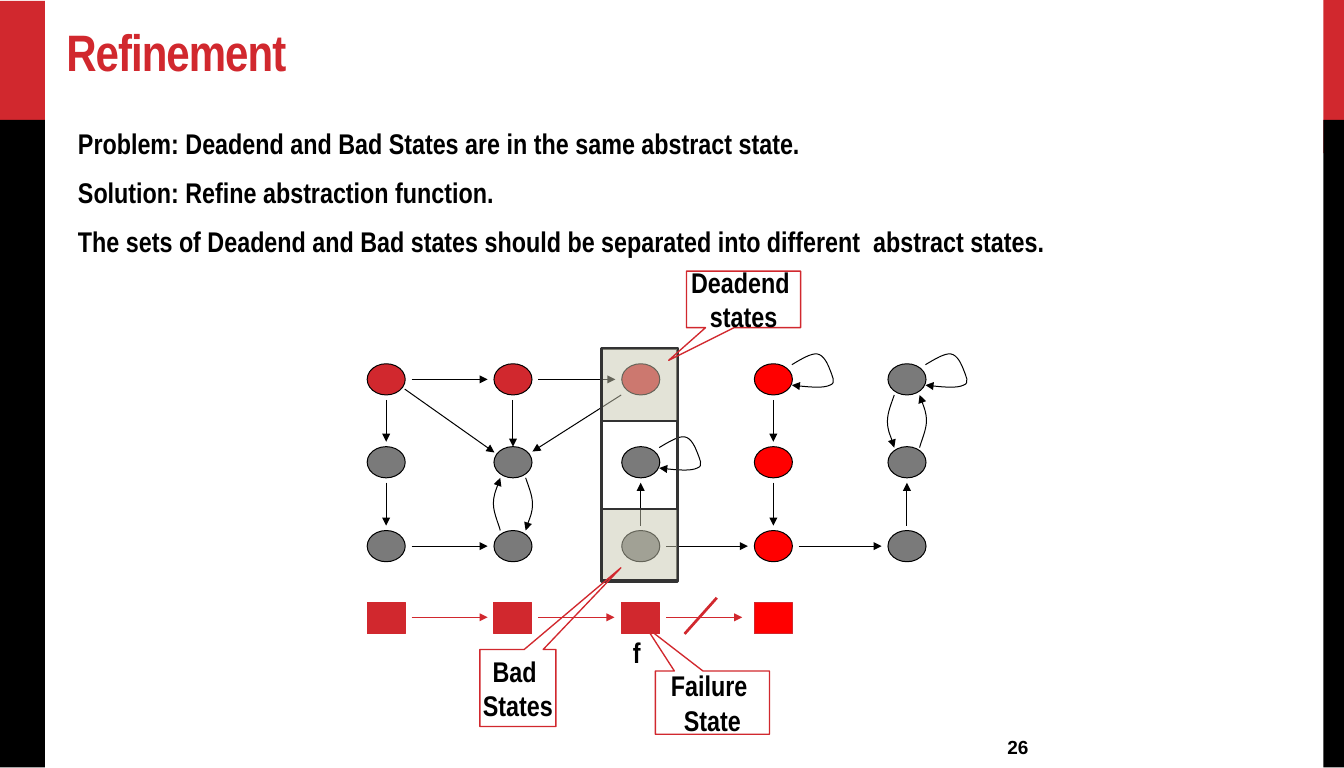
from lxml import etree
from pptx import Presentation
from pptx.dml.color import RGBColor
from pptx.enum.shapes import MSO_CONNECTOR, MSO_SHAPE
from pptx.enum.text import MSO_ANCHOR, PP_ALIGN
from pptx.oxml.ns import qn
from pptx.util import Inches, Pt

RED = RGBColor(0xD1, 0x28, 0x2E)
BRIGHT_RED = RGBColor(0xFF, 0x00, 0x00)
GRAY = RGBColor(0x7A, 0x7A, 0x7A)
BLACK = RGBColor(0x00, 0x00, 0x00)
DARK = RGBColor(0x33, 0x33, 0x33)
SAGE = RGBColor(0xC8, 0xC8, 0xB1)

RECT, OVAL = MSO_SHAPE.RECTANGLE, MSO_SHAPE.OVAL
CALLOUT = MSO_SHAPE.RECTANGULAR_CALLOUT
STRAIGHT = MSO_CONNECTOR.STRAIGHT
LEFT, CENTER = PP_ALIGN.LEFT, PP_ALIGN.CENTER
TOP, MIDDLE, BOTTOM = MSO_ANCHOR.TOP, MSO_ANCHOR.MIDDLE, MSO_ANCHOR.BOTTOM

COLS = [3.96, 5.26, 6.57, 7.93, 9.3]
ROWS = [3.89, 4.74, 5.6]
ABSTRACT_Y = 6.33
NODE_W, NODE_H = 0.39, 0.32
GAP_X, GAP_Y = 0.26, 0.21

LOOP = [(0.19, -0.15), (0.29, -0.21), (0.39, -0.27), (0.45, -0.26),
        (0.52, -0.25), (0.56, -0.15), (0.58, -0.1), (0.6, -0.04),
        (0.65, 0.04), (0.58, 0.06), (0.52, 0.09), (0.35, 0.08), (0.19, 0.06)]
BOW = [(0.13, 0.16), (0.16, 0.25), (0.2, 0.34), (0.2, 0.43),
       (0.2, 0.52), (0.14, 0.65), (0.13, 0.7)]

NODE_COLORS = [[RED, RED, RED, BRIGHT_RED, GRAY],
               [GRAY, GRAY, GRAY, BRIGHT_RED, GRAY],
               [GRAY, GRAY, GRAY, BRIGHT_RED, GRAY]]
ACROSS = [(0, 0), (1, 0), (0, 2), (2, 2), (3, 2)]
DOWN = [(0, 0), (0, 1), (3, 0), (3, 1)]
UP = [(2, 1), (4, 1)]
PROBLEM = [
    "Problem: Deadend and Bad States are in the same abstract state.",
    "Solution: Refine abstraction function.",
    "The sets of Deadend and Bad states should be separated into different  abstract states.",
]


def write(s, lines, size=21, name="Arial Narrow", color=BLACK, align=CENTER,
          anchor=TOP, wrap=True, before=0, after=0):
    tf = s.text_frame
    tf.word_wrap = wrap
    tf.vertical_anchor = anchor
    tf.margin_left = tf.margin_right = Inches(0.11)
    tf.margin_top = tf.margin_bottom = Inches(0.06)
    for i, line in enumerate(lines):
        p = tf.add_paragraph() if i else tf.paragraphs[0]
        p.text = line
        p.alignment = align
        p.space_before = Pt(before if i else 0)
        p.space_after = Pt(after)
        p.font.size = Pt(size)
        p.font.name = name
        p.font.bold = True
        p.font.color.rgb = color
    return tf


def textbox(slide, box, lines, **style):
    s = slide.shapes.add_textbox(*map(Inches, box))
    return write(s, lines, **style)


def shape(slide, kind, box, fill=None, line=None, width=0.75, alpha=None):
    s = slide.shapes.add_shape(kind, *map(Inches, box))
    s.shadow.inherit = False
    if fill is None:
        s.fill.background()
    else:
        s.fill.solid()
        s.fill.fore_color.rgb = fill
    if alpha is not None:
        color = s._element.spPr.find(qn("a:solidFill")).find(qn("a:srgbClr"))
        etree.SubElement(color, qn("a:alpha")).set("val", str(alpha * 1000))
    if line is None:
        s.line.fill.background()
    else:
        s.line.color.rgb = line
        s.line.width = Pt(width)
    return s


def arrowhead(s, end="a:tailEnd"):
    ln = s._element.spPr.find(qn("a:ln"))
    etree.SubElement(ln, qn(end)).set("type", "triangle")


def line(slide, x1, y1, x2, y2, color=BLACK, width=0.75, arrow=True):
    s = slide.shapes.add_connector(STRAIGHT, *map(Inches, (x1, y1, x2, y2)))
    s.line.color.rgb = color
    s.line.width = Pt(width)
    etree.SubElement(s._element.spPr, qn("a:effectLst"))
    if arrow:
        arrowhead(s)


def curve(slide, cx, cy, offsets, side=1, end="a:tailEnd"):
    points = [(Inches(cx + side * dx), Inches(cy + dy)) for dx, dy in offsets]
    fb = slide.shapes.build_freeform(*points[0])
    fb.add_line_segments(points[1:], close=False)
    s = fb.convert_to_shape()
    segments = list(s._element.iter(qn("a:lnTo")))
    outline = segments[0].getparent()
    for i in range(0, len(segments), 3):
        bezier = etree.SubElement(outline, qn("a:cubicBezTo"))
        for segment in segments[i:i + 3]:
            bezier.append(segment[0])
            outline.remove(segment)
    s.shadow.inherit = False
    s.fill.background()
    s.line.color.rgb = BLACK
    s.line.width = Pt(0.75)
    arrowhead(s, end)


def node(slide, kind, cx, cy, fill, outline):
    box = (cx - NODE_W / 2, cy - NODE_H / 2, NODE_W, NODE_H)
    shape(slide, kind, box, fill, outline)


def callout(slide, box, tip, lines):
    s = shape(slide, CALLOUT, box, line=RED, width=1)
    s.adjustments[0], s.adjustments[1] = tip
    write(s, lines, anchor=MIDDLE, wrap=False)


def side_bars(slide):
    for x, y, w in ((13.57, 0, 0.21), (0, 0.01, 0.46)):
        shape(slide, RECT, (x, y, w, 1.57), RED)
        shape(slide, RECT, (x, 1.23, w, 6.64), BLACK)


def title(slide, text):
    s = slide.shapes.title
    s.left, s.top, s.width, s.height = map(Inches, (0.57, 0.18, 12.86, 0.72))
    tf = write(s, [text], size=37.8, color=RED, align=LEFT, anchor=BOTTOM)
    tf.paragraphs[0].runs[0]._r.get_or_add_rPr().set("spc", "-70")


def concrete_states(slide):
    for col, row in ACROSS:
        line(slide, COLS[col] + GAP_X, ROWS[row], COLS[col + 1] - GAP_X, ROWS[row])
    for col, row in DOWN:
        line(slide, COLS[col], ROWS[row] + GAP_Y, COLS[col], ROWS[row + 1] - GAP_Y)
    for col, row in UP:
        line(slide, COLS[col], ROWS[row + 1] - GAP_Y, COLS[col], ROWS[row] + GAP_Y)
    line(slide, 5.26, 4.1, 5.26, 4.58)
    line(slide, 6.37, 4.05, 5.46, 4.63)
    line(slide, 4.15, 3.99, 5.07, 4.64)
    for col, row in ((2, 1), (3, 0), (4, 0)):
        curve(slide, COLS[col], ROWS[row], LOOP)
    for col, row, down_side in ((1, 1, 1), (4, 0, -1)):
        curve(slide, COLS[col], ROWS[row], BOW, down_side)
        curve(slide, COLS[col], ROWS[row], BOW, -down_side, "a:headEnd")
    for y, colors in zip(ROWS, NODE_COLORS):
        for x, color in zip(COLS, colors):
            node(slide, OVAL, x, y, color, BLACK)


def abstract_states(slide):
    for x in COLS[:3]:
        line(slide, x + GAP_X, ABSTRACT_Y, x + 1.04, ABSTRACT_Y, RED)
    for x, color in zip(COLS, (RED, RED, RED, BRIGHT_RED)):
        node(slide, RECT, x, ABSTRACT_Y + 0.01, color, RED)
    line(slide, 7.35, 6.13, 7.02, 6.5, RED, 2, arrow=False)


def main():
    prs = Presentation()
    prs.slide_width, prs.slide_height = Pt(992.25), Pt(567)
    slide = prs.slides.add_slide(prs.slide_layouts[5])
    side_bars(slide)
    title(slide, "Refinement")
    textbox(slide, (0.69, 1.23, 12.63, 5.81), PROBLEM, align=LEFT, before=4.2, after=6.8)
    concrete_states(slide)
    abstract_states(slide)
    shape(slide, RECT, (6.17, 3.57, 0.78, 2.39), line=DARK, width=2)
    for y, h in ((3.57, 0.75), (5.22, 0.73)):
        shape(slide, RECT, (6.17, y, 0.78, h), SAGE, DARK, 1.5, alpha=50)
    callout(slide, (7.04, 2.78, 1.17, 0.58), (-0.657, 1.078), ["Deadend ", "states"])
    callout(slide, (4.92, 6.66, 0.78, 0.79), (1.356, -1.561), ["Bad ", "States"])
    callout(slide, (6.72, 6.88, 1.17, 0.65), (-0.582, -1.192), ["Failure ", "State"])
    textbox(slide, (6.33, 6.45, 0.4, 0.45), ["f"])
    number = textbox(slide, (10.22, 7.39, 1.84, 0.39), ["26"], size=14, name="Arial",
                     align=LEFT, anchor=BOTTOM)
    number.margin_bottom = 0
    prs.save("out.pptx")


if __name__ == "__main__":
    main()
